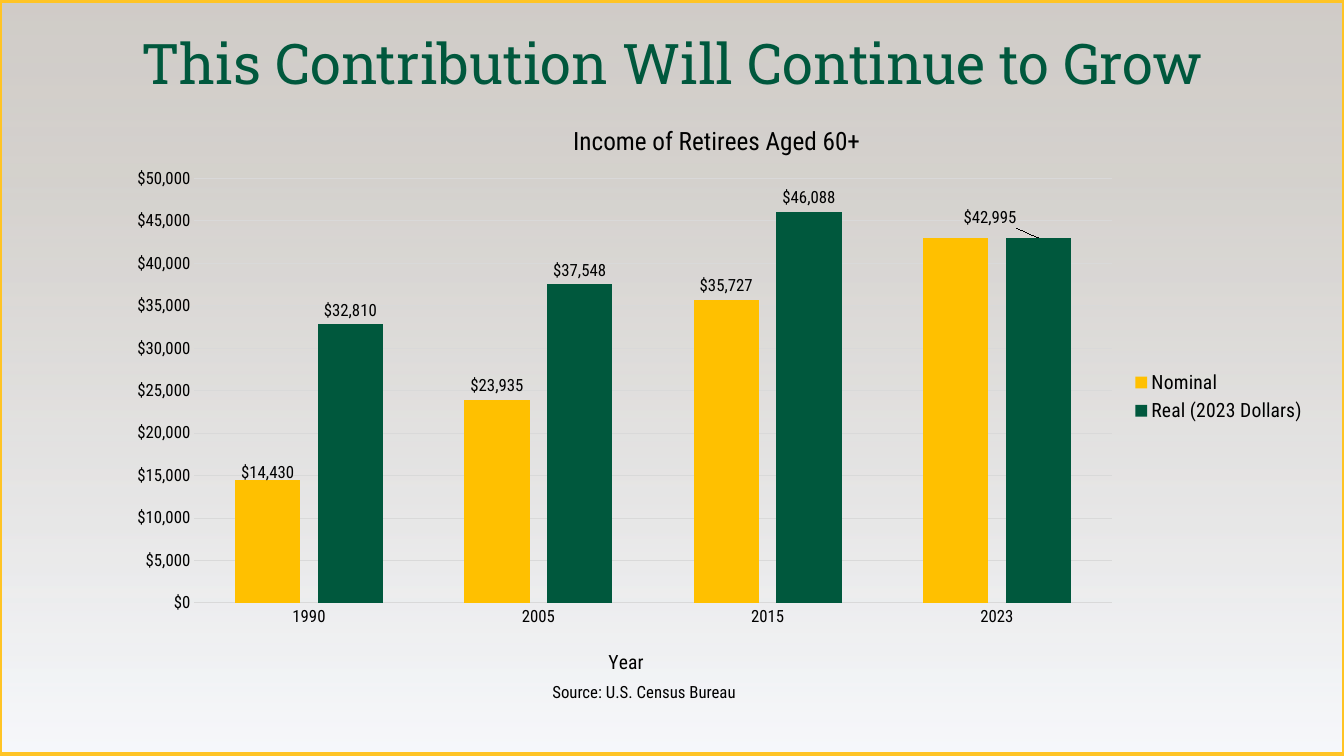
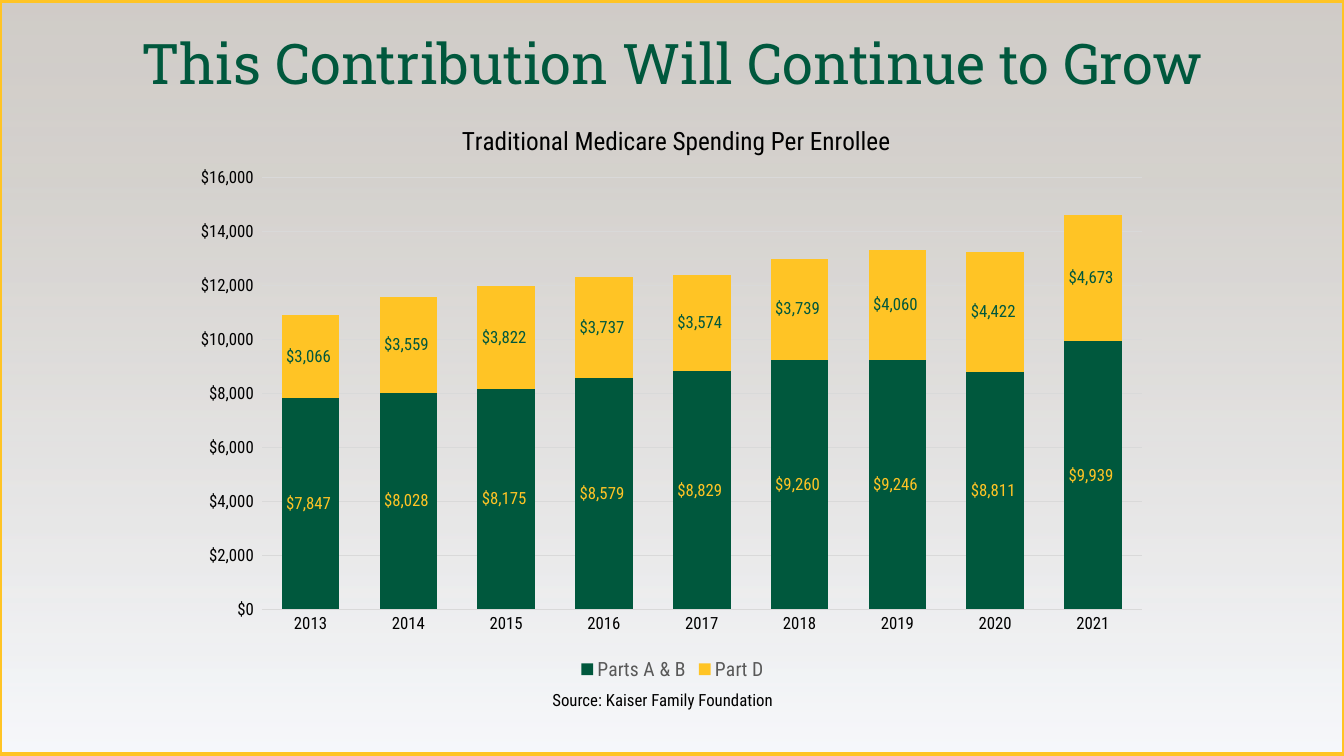
from pptx import Presentation
from pptx.chart.data import CategoryChartData
from pptx.dml.color import RGBColor
from pptx.enum.chart import (XL_CHART_TYPE as ChartType, XL_LABEL_POSITION as LabelAt,
                             XL_LEGEND_POSITION as LegendAt, XL_TICK_MARK as Tick)
from pptx.enum.shapes import MSO_SHAPE as Shape
from pptx.enum.text import MSO_ANCHOR as Anchor, MSO_AUTO_SIZE as AutoSize, PP_ALIGN as Align
from pptx.oxml import parse_xml
from pptx.oxml.ns import nsdecls
from pptx.util import Inches, Pt

GREEN, GOLD, AMBER = "00583D", "FFC425", "FFC000"
BLACK, GREY, RULE = "000000", "595959", "D9D9D9"
HEADING, BODY = "Roboto Slab", "Roboto Condensed"
DOLLARS = '"$"#,##0'
DOLLARS_RED = '"$"#,##0_);[Red]\\("$"#,##0\\)'
# Backdrop stops from bottom to top: position, colour, opacity, all in percent
BACKDROP = [(0, "F6F8FC", 90), (76, "CBC7C2", 80), (100, "CBC7C2", 90)]


def rgb(value):
    return RGBColor.from_string(value)


def style(font, size, color=BLACK, name=BODY):
    settings = {"size": Pt(size), "name": name, "bold": False}
    for attribute, value in settings.items():
        setattr(font, attribute, value)
    font.color.rgb = rgb(color)


def set_layout(element, index, x, y, size=None):
    """Place a chart part by shares of the chart; with a size, x and y are the inner plot's corner."""
    for old in element.xpath("c:layout"):
        element.remove(old)
    values = {"x": x, "y": y}
    modes = {}
    if size:
        modes = {"layoutTarget": "inner"}
        values.update(w=size[0], h=size[1])
    if size or not element.tag.endswith("dLbl"):
        modes.update(xMode="edge", yMode="edge")
    parts = "".join(f'<c:{key} val="{value}"/>' for key, value in {**modes, **values}.items())
    element.insert(index, parse_xml(
        f'<c:layout {nsdecls("c")}><c:manualLayout>{parts}</c:manualLayout></c:layout>'))


def no_fill():
    return parse_xml(f'<c:spPr {nsdecls("c", "a")}><a:noFill/><a:ln><a:noFill/></a:ln></c:spPr>')


class Deck:
    """Style and current slide; places are percent of slide width and height."""

    def __init__(self):
        self.file = Presentation()
        self.file.slide_width, self.file.slide_height = Inches(13.33), Inches(7.5)
        self.layout = self.file.slide_layouts[5]
        self.slide = None

    def box(self, left, top, width, height):
        across, down = self.file.slide_width / 100, self.file.slide_height / 100
        return int(left * across), int(top * down), int(width * across), int(height * down)

    def add_slide(self, heading):
        self.slide = self.file.slides.add_slide(self.layout)
        self.backdrop()
        title = self.slide.shapes.title
        title.left, title.top, title.width, title.height = self.box(0, 3.33, 100, 10.13)
        frame = title.text_frame
        frame.text = heading
        frame.auto_size, frame.vertical_anchor = AutoSize.NONE, Anchor.BOTTOM
        paragraph = frame.paragraphs[0]
        paragraph.alignment, paragraph.line_spacing = Align.CENTER, 0.9
        style(paragraph.font, 40, GREEN, HEADING)

    def backdrop(self):
        panel = self.slide.shapes.add_shape(Shape.RECTANGLE, *self.box(0, 0.13, 100, 99.6))
        panel.shadow.inherit = False
        panel.line.color.rgb, panel.line.width = rgb(GOLD), Pt(3)
        stops = "".join(
            f'<a:gs pos="{position * 1000}"><a:srgbClr val="{color}">'
            f'<a:alpha val="{opacity * 1000}"/></a:srgbClr></a:gs>'
            for position, color, opacity in BACKDROP)
        panel.element.spPr.find(".//{*}prstGeom").addnext(parse_xml(
            f'<a:gradFill {nsdecls("a")} rotWithShape="1"><a:gsLst>{stops}</a:gsLst>'
            '<a:lin ang="16200000" scaled="0"/></a:gradFill>'))
        self.slide.shapes.title.element.addprevious(panel.element)

    def source(self, text, top):
        note = self.slide.shapes.add_textbox(*self.box(40.36, top, 19.28, 4.13))
        note.text_frame.word_wrap = True
        note.text_frame.text = text
        style(note.text_frame.paragraphs[0].font, 12)

    def column_chart(self, kind, place, title, title_at, plot_at, plot_size, years, series,
                     number_format, top_value, step, gap, overlap, legend_at, legend_color):
        """Each series is (name, values, fill, label colour, label position)."""
        data = CategoryChartData(number_format=number_format)
        data.categories = years
        for name, values, *_ in series:
            data.add_series(name, values)
        chart = self.slide.shapes.add_chart(kind, *self.box(*place), data).chart
        style(chart.font, 10)
        space = chart._chartSpace
        space.xpath("c:txPr")[0].addprevious(no_fill())
        plot_area = space.xpath("c:chart/c:plotArea")[0]
        plot_area.append(no_fill())
        set_layout(plot_area, 0, *plot_at, plot_size)

        chart.has_title = True
        self.chart_text(chart.chart_title, title, 18, title_at)
        chart.has_legend = True
        chart.legend.position, chart.legend.include_in_layout = legend_at, False
        style(chart.legend.font, 14, legend_color)

        year_axis, dollar_axis = chart.category_axis, chart.value_axis
        for axis in (year_axis, dollar_axis):
            axis.major_tick_mark = axis.minor_tick_mark = Tick.NONE
            style(axis.tick_labels.font, 12)
        dollar_axis.minimum_scale, dollar_axis.maximum_scale = 0, top_value
        dollar_axis.major_unit = step
        dollar_axis.tick_labels.number_format = number_format
        dollar_axis.tick_labels.number_format_is_linked = False
        dollar_axis.format.line.fill.background()
        for line in (year_axis.format.line, dollar_axis.major_gridlines.format.line):
            line.color.rgb, line.width = rgb(RULE), Pt(0.75)

        plot = chart.plots[0]
        plot.gap_width, plot.overlap, plot.vary_by_categories = gap, overlap, False
        for bars, (_, _, fill, label_color, label_at) in zip(plot.series, series):
            bars.format.fill.solid()
            bars.format.fill.fore_color.rgb = rgb(fill)
            bars.format.line.fill.background()
            labels = bars.data_labels
            settings = {"show_value": True, "number_format": number_format,
                        "number_format_is_linked": False, "position": label_at}
            for attribute, value in settings.items():
                setattr(labels, attribute, value)
            style(labels.font, 12, label_color)
        return chart

    def chart_text(self, title, text, size, place):
        title.text_frame.text = text
        style(title.text_frame.paragraphs[0].runs[0].font, size)
        set_layout(title._element, 1, *place)

    def adjust_label(self, bars, index, offset=None):
        """Shift one data label by shares of the chart, or delete it."""
        label = bars.points[index].data_label
        style(label.font, 12)
        label.position = LabelAt.OUTSIDE_END
        element = bars._element.xpath(f"c:dLbls/c:dLbl[c:idx/@val='{index}']")[0]
        if offset:
            set_layout(element, 1, *offset)
            return
        for child in list(element)[1:]:
            element.remove(child)
        element.append(parse_xml(f'<c:delete {nsdecls("c")} val="1"/>'))


def main():
    deck = Deck()
    heading = "This Contribution Will Continue to Grow"

    deck.add_slide(heading)
    income = deck.column_chart(
        ChartType.COLUMN_CLUSTERED, (8.18, 13.47, 89.8, 78),
        "Income of Retirees Aged 60+", (0.38, 0.03), (0.07, 0.13), (0.76, 0.72),
        ["1990", "2005", "2015", "2023"],
        [("Nominal", [14430, 23935, 35727, 42995], AMBER, BLACK, LabelAt.OUTSIDE_END),
         ("Real (2023 Dollars)", [32810, 37548, 46088, 42995], GREEN, BLACK, LabelAt.OUTSIDE_END)],
        DOLLARS, 50000, 5000, 125, -27, LegendAt.RIGHT, BLACK)
    deck.chart_text(income.category_axis.axis_title, "Year", 14, (0.41, 0.92))
    nominal, real = income.plots[0].series
    deck.adjust_label(nominal, 0, (0, 0.01))
    deck.adjust_label(nominal, 3)
    deck.adjust_label(real, 3, (-0.04, -0.01))
    deck.source("Source: U.S. Census Bureau", 89.47)

    deck.add_slide(heading)
    deck.column_chart(
        ChartType.COLUMN_STACKED, (13.65, 13.47, 72.77, 77.2),
        "Traditional Medicare Spending Per Enrollee", (0.28, 0.03), (0.08, 0.13), (0.9, 0.74),
        [str(year) for year in range(2013, 2022)],
        [("Parts A & B", [7847, 8028, 8175, 8579, 8829, 9260, 9246, 8811, 9939],
          GREEN, GOLD, LabelAt.CENTER),
         ("Part D", [3066, 3559, 3822, 3737, 3574, 3739, 4060, 4422, 4673],
          GOLD, GREEN, LabelAt.CENTER)],
        DOLLARS_RED, 16000, 2000, 70, 100, LegendAt.BOTTOM, GREY)
    deck.source("Source: Kaiser Family Foundation", 90.53)

    deck.file.save("out.pptx")


if __name__ == "__main__":
    main()
